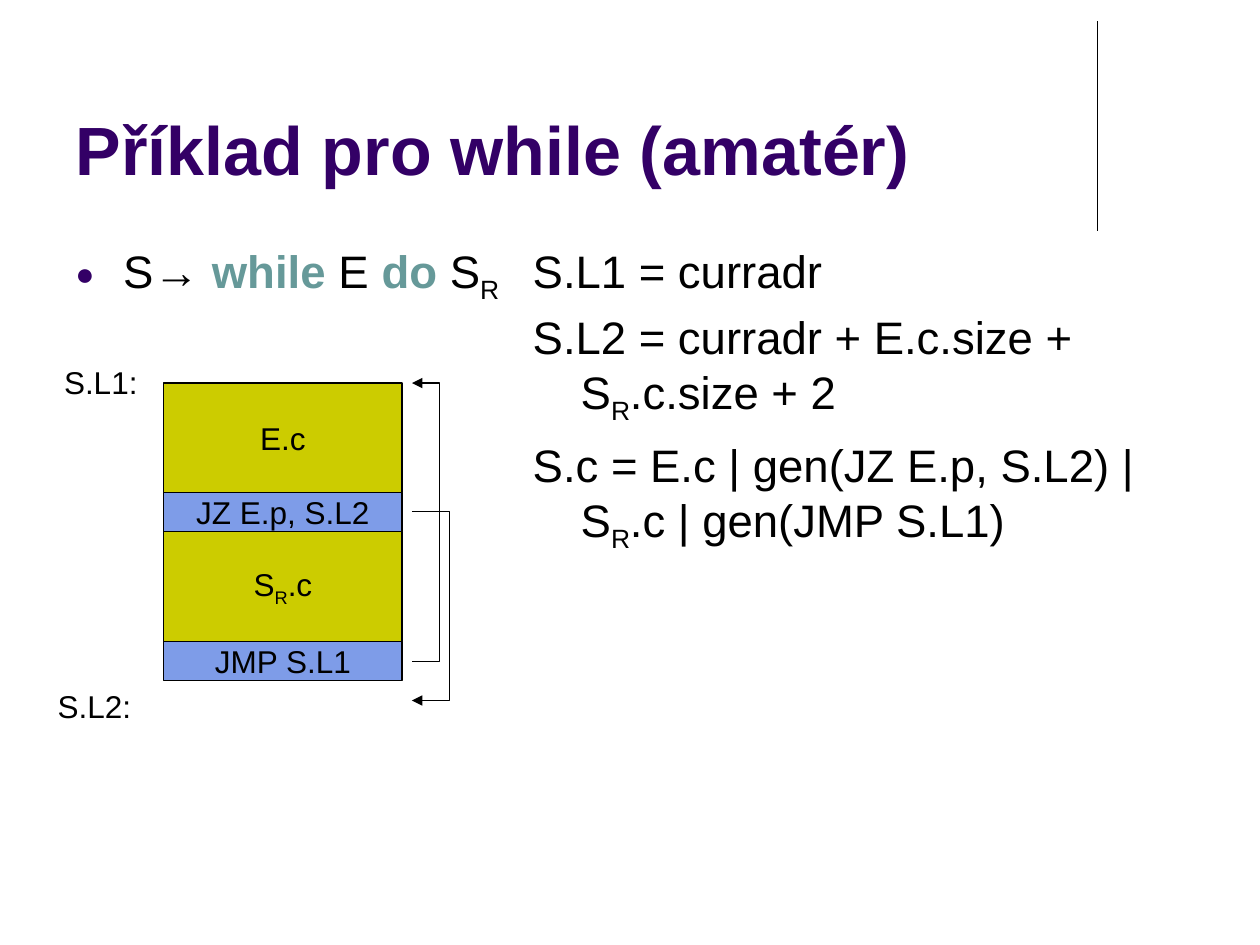
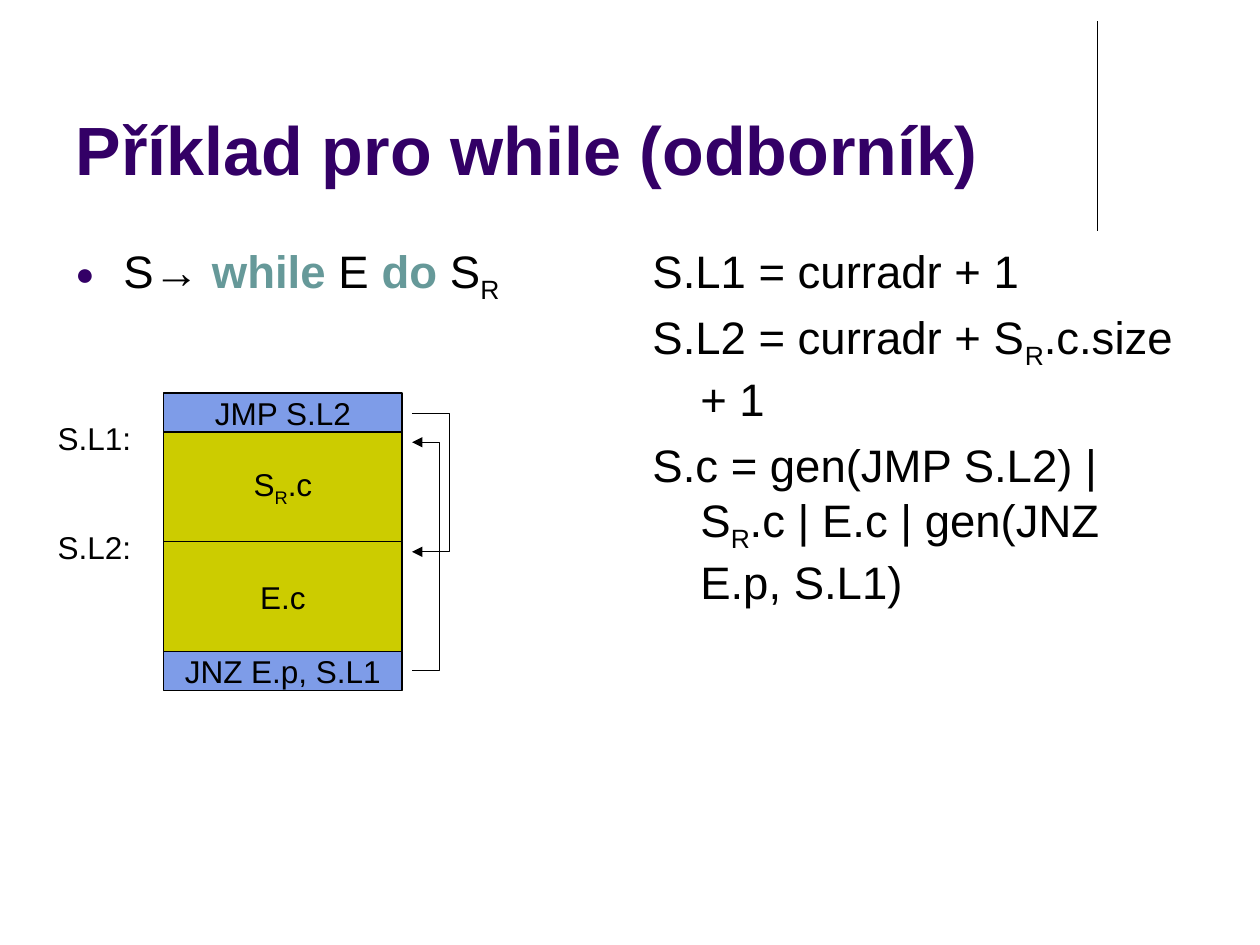
from lxml import etree
from pptx import Presentation
from pptx.dml.color import RGBColor
from pptx.enum import shapes, text
from pptx.oxml.ns import qn
from pptx.util import Inches, Pt

COLORS = {
    "ink": "000000",
    "title": "330066",
    "keyword": "669999",
    "code": "CCCC00",
    "jump": "7E9CE8",
}
FONT = "Arial"
BODY_SIZE, LABEL_SIZE = 26, 18
BLOCK_LEFT, BLOCK_WIDTH = 1.3, 1.89
BLOCK_HEIGHTS = {"code": 0.87, "jump": 0.31}
ARROW_LEFT = 3.27
HANGING = 0.38

# A text is a list of runs: (words, style), style being "", "keyword" or "sub".
SUB_R = ("R", "sub")
RULE = [("S→ ", ""), ("while", "keyword"), (" E ", ""), ("do", "keyword"),
        (" S", ""), SUB_R]
BODY_CODE = [("S", ""), SUB_R, (".c", "")]
CONDITION_CODE = [("E.c", "")]


def rgb(name):
    return RGBColor.from_string(COLORS[name])


def add_runs(p, runs, size):
    for words, style in runs:
        r = p.add_run()
        r.text = words
        r.font.name = FONT
        r.font.size = Pt(size)
        r.font.bold = style == "keyword"
        r.font.color.rgb = rgb("keyword" if style == "keyword" else "ink")
        if style == "sub":
            r.font._element.set("baseline", "-25000")


def style_line(line):
    line.color.rgb = rgb("ink")
    line.width = Pt(0.75)


def add_title(slide, words):
    sp = slide.shapes.title
    sp.left, sp.top = Inches(0.5), Inches(0.13)
    sp.width, sp.height = Inches(8.25), Inches(1.42)
    tf = sp.text_frame
    tf.auto_size = text.MSO_AUTO_SIZE.NONE
    tf.vertical_anchor = text.MSO_ANCHOR.BOTTOM
    p = tf.paragraphs[0]
    p.alignment = text.PP_ALIGN.LEFT
    r = p.add_run()
    r.text = words
    r.font.name = FONT
    r.font.size = Pt(39)
    r.font.bold = True
    r.font.color.rgb = rgb("title")


def add_corner_line(slide):
    x = Inches(8.71)
    line = slide.shapes.add_connector(
        shapes.MSO_CONNECTOR.STRAIGHT, x, Inches(0.17), x, Inches(1.83))
    style_line(line.line)
    etree.SubElement(line._element.spPr, qn("a:effectLst"))


def add_bullet(p):
    pPr = p._p.get_or_add_pPr()
    color = etree.SubElement(pPr, qn("a:buClr"))
    etree.SubElement(color, qn("a:srgbClr"), val=COLORS["title"])
    etree.SubElement(pPr, qn("a:buSzPct"), val="70000")
    etree.SubElement(pPr, qn("a:buFont"), typeface=FONT)
    etree.SubElement(pPr, qn("a:buChar"), char="●")


def add_body(slide, left, width, height, paragraphs, bullet=False):
    box = slide.shapes.add_textbox(
        Inches(left), Inches(1.88), Inches(width), Inches(height))
    tf = box.text_frame
    tf.word_wrap = True
    for i, runs in enumerate(paragraphs):
        p = tf.add_paragraph() if i else tf.paragraphs[0]
        pPr = p._p.get_or_add_pPr()
        pPr.set("marL", str(Inches(HANGING)))
        pPr.set("indent", str(-Inches(HANGING)))
        if bullet:
            add_bullet(p)
        if i:
            p.space_before = Pt(6.5)
        add_runs(p, runs, BODY_SIZE)


def add_label(slide, left, top, words):
    box = slide.shapes.add_textbox(
        Inches(left), Inches(top), Inches(0.85), Inches(0.4))
    tf = box.text_frame
    tf.word_wrap = False
    tf.margin_right = 0
    add_runs(tf.paragraphs[0], [(words, "")], LABEL_SIZE)


def add_code_stack(slide, top, blocks):
    """Stack code and jump blocks downwards without gaps."""
    for kind, runs in blocks:
        height = BLOCK_HEIGHTS[kind]
        sp = slide.shapes.add_shape(
            shapes.MSO_SHAPE.RECTANGLE, Inches(BLOCK_LEFT), Inches(top),
            Inches(BLOCK_WIDTH), Inches(height))
        sp.shadow.inherit = False
        sp.fill.solid()
        sp.fill.fore_color.rgb = rgb(kind)
        style_line(sp.line)
        tf = sp.text_frame
        tf.word_wrap = False
        tf.vertical_anchor = text.MSO_ANCHOR.MIDDLE
        p = tf.paragraphs[0]
        p.alignment = text.PP_ALIGN.CENTER
        add_runs(p, runs, LABEL_SIZE)
        top += height


def add_jump_arrow(slide, start, end, reach):
    """Draw a bracket arrow from height start to height end."""
    left, right = Inches(ARROW_LEFT), Inches(ARROW_LEFT + reach)
    start, end = Inches(start), Inches(end)
    builder = slide.shapes.build_freeform(left, start)
    builder.add_line_segments(
        [(right, start), (right, end), (left, end)], close=False)
    sp = builder.convert_to_shape()
    sp.shadow.inherit = False
    sp.fill.background()
    style_line(sp.line)
    etree.SubElement(sp.line._get_or_add_ln(), qn("a:tailEnd"), type="triangle")


def add_while_slide(prs, title, rule_size, equations_left, equations,
                    stack_top, blocks, labels, arrows):
    slide = prs.slides.add_slide(prs.slide_layouts[5])
    add_corner_line(slide)
    add_title(slide, title)
    add_body(slide, 0.5, *rule_size, [RULE], bullet=True)
    add_body(slide, equations_left, 9.5 - equations_left, 4.82, equations)
    add_code_stack(slide, stack_top, blocks)
    for label in labels:
        add_label(slide, *label)
    for arrow in arrows:
        add_jump_arrow(slide, *arrow)


def main():
    prs = Presentation()
    prs.slide_width, prs.slide_height = Inches(10), Inches(7.5)

    add_while_slide(
        prs, "Příklad pro while (amatér)",
        rule_size=(3.63, 0.69),
        equations_left=4.13,
        equations=[
            [("S.L1 = curradr", "")],
            [("S.L2 = curradr + E.c.size + S", ""), SUB_R, (".c.size + 2", "")],
            [("S.c = E.c | gen(JZ E.p, S.L2) | S", ""), SUB_R,
             (".c | gen(JMP S.L1)", "")],
        ],
        stack_top=3.04,
        blocks=[("code", CONDITION_CODE), ("jump", [("JZ E.p, S.L2", "")]),
                ("code", BODY_CODE), ("jump", [("JMP S.L1", "")])],
        labels=[(0.41, 2.83, "S.L1:"), (0.36, 5.4, "S.L2:")],
        arrows=[(5.25, 3.04, 0.22), (4.06, 5.56, 0.3)])

    add_while_slide(
        prs, "Příklad pro while (odborník)",
        rule_size=(4.42, 0.61),
        equations_left=5.08,
        equations=[
            [("S.L1 = curradr + 1", "")],
            [("S.L2 = curradr + S", ""), SUB_R, (".c.size + 1", "")],
            [("S.c = gen(JMP S.L2) | S", ""), SUB_R,
             (".c | E.c | gen(JNZ E.p, S.L1)", "")],
        ],
        stack_top=3.12,
        blocks=[("jump", [("JMP S.L2", "")]), ("code", BODY_CODE),
                ("code", CONDITION_CODE), ("jump", [("JNZ E.p, S.L1", "")])],
        labels=[(0.36, 3.28, "S.L1:"), (0.36, 4.14, "S.L2:")],
        arrows=[(5.32, 3.51, 0.22), (3.28, 4.38, 0.3)])

    prs.save("out.pptx")


if __name__ == "__main__":
    main()
